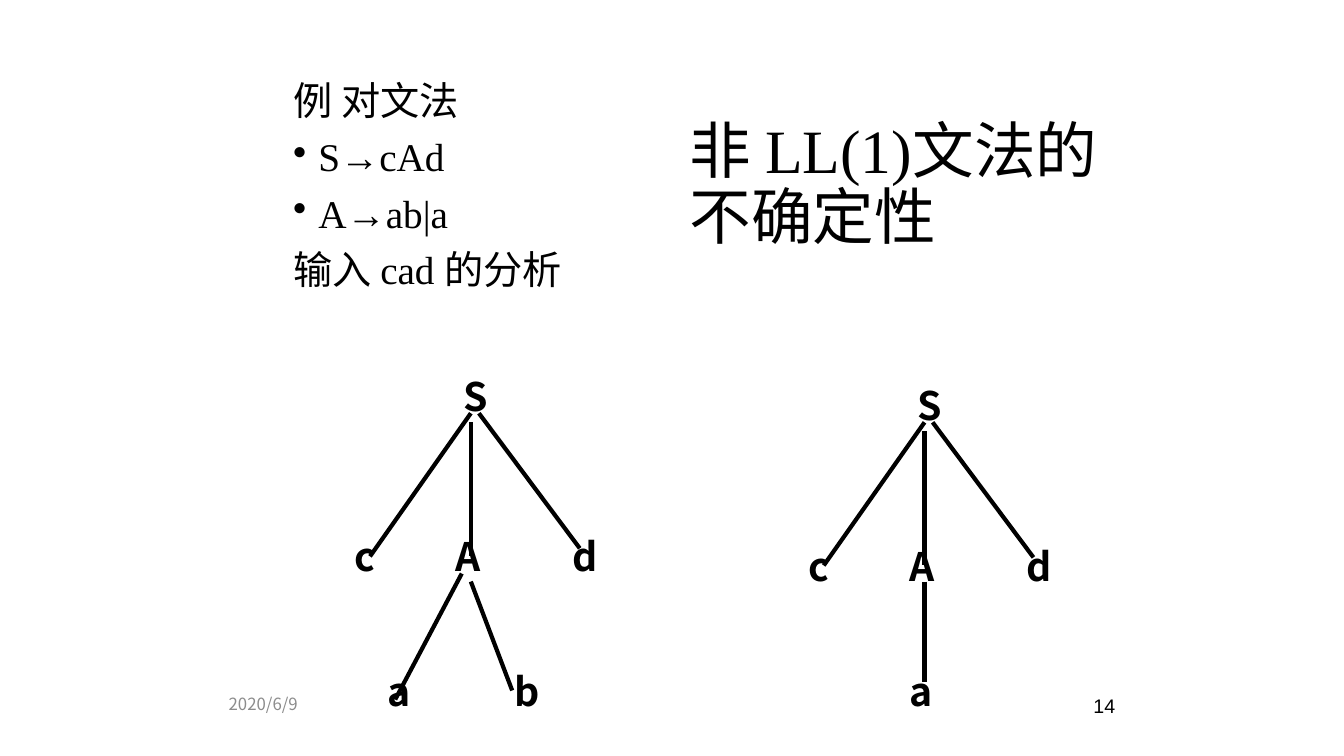
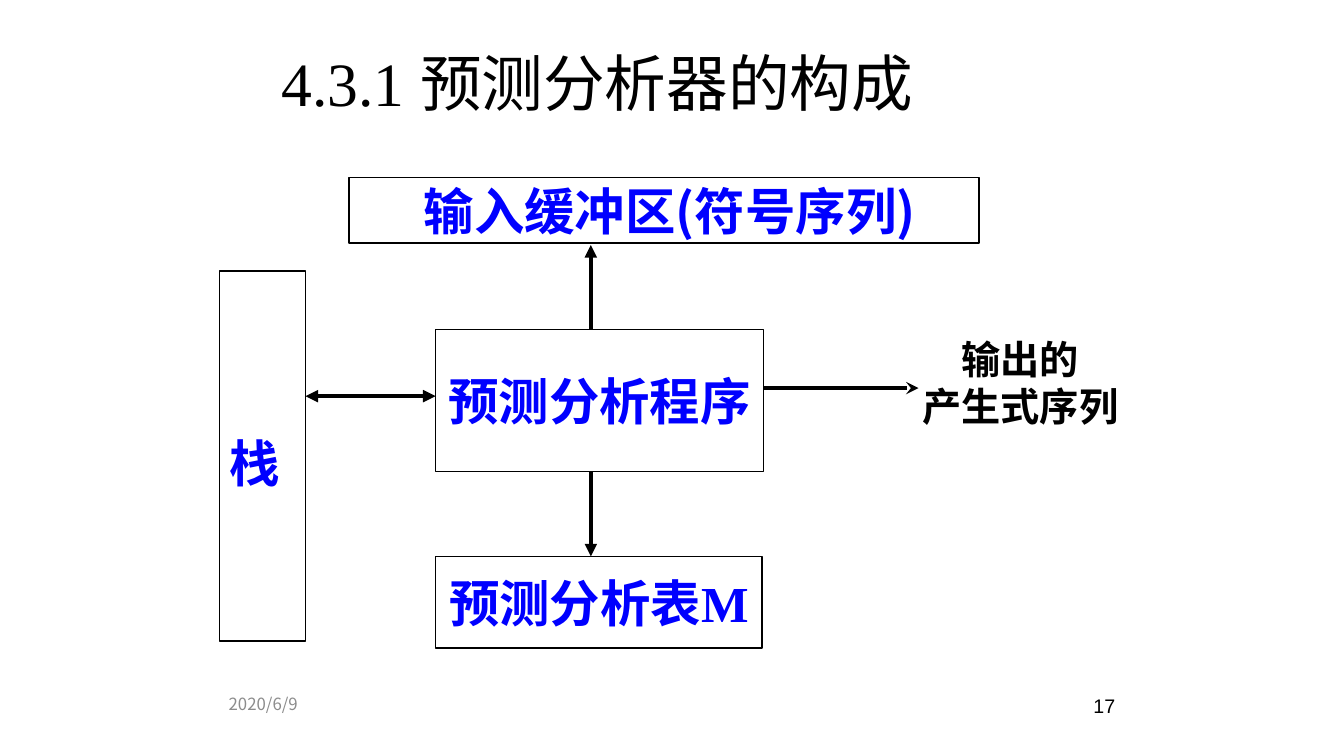
import dataclasses

import lxml.etree
import pptx
import pptx.dml.color
import pptx.enum.shapes
import pptx.enum.text
import pptx.oxml.ns
import pptx.util

Inches = pptx.util.Inches
Pt = pptx.util.Pt
RGB = pptx.dml.color.RGBColor
Align = pptx.enum.text.PP_ALIGN
Anchor = pptx.enum.text.MSO_ANCHOR


@dataclasses.dataclass(frozen=True)
class Theme:
    ink: RGB = RGB(0x00, 0x00, 0x00)
    blue: RGB = RGB(0x00, 0x00, 0xFF)
    grey: RGB = RGB(0x8C, 0x8C, 0x8C)
    paper: RGB = RGB(0xFF, 0xFF, 0xFF)
    serif: str = "Times New Roman"
    sans: str = "Noto Sans CJK SC"
    plain: str = "Arial"
    title_size: int = 44
    box_size: int = 36
    text_size: int = 28
    number_size: int = 14
    date_size: int = 12
    frame_width: int = 1
    stroke_width: int = 3


class Deck:
    def __init__(self, theme):
        self.theme = theme
        self.show = pptx.Presentation()
        self.show.slide_width = Inches(13.33)
        self.show.slide_height = Inches(7.5)
        self.slide = None

    def add_slide(self, title, place, number):
        t = self.theme
        self.slide = self.show.slides.add_slide(self.show.slide_layouts[5])
        self.slide.background.fill.solid()
        self.slide.background.fill.fore_color.rgb = t.paper
        heading = self.slide.shapes.title
        heading.left, heading.top, heading.width, heading.height = map(Inches, place)
        frame = heading.text_frame
        frame.word_wrap = True
        frame.auto_size = pptx.enum.text.MSO_AUTO_SIZE.NONE
        frame.vertical_anchor = Anchor.MIDDLE
        self.add_words(frame.paragraphs[0], title, t.title_size, t.serif, t.ink,
                       spacing=0.9)
        self.text((2.17, 6.83, 2.33, 0.52), ["2020/6/9"], t.date_size, t.sans, t.grey)
        self.text((8.83, 6.83, 2.33, 0.52), [number], t.number_size, t.plain, t.ink,
                  align=Align.RIGHT)

    def add_words(self, paragraph, words, size, font, color, bold=False,
                  align=Align.LEFT, spacing=None):
        paragraph.alignment = align
        if spacing:
            paragraph.line_spacing = spacing
        run = paragraph.add_run()
        run.text = words
        run.font.size = Pt(size)
        run.font.name = font
        run.font.bold = bold
        run.font.color.rgb = color
        east_asian = lxml.etree.SubElement(run.font._element, pptx.oxml.ns.qn("a:ea"))
        east_asian.set("typeface", self.theme.sans)

    def text(self, place, lines, size, font, color, **style):
        frame = self.slide.shapes.add_textbox(*map(Inches, place)).text_frame
        frame.word_wrap = True
        for index, words in enumerate(lines):
            paragraph = frame.add_paragraph() if index else frame.paragraphs[0]
            self.add_words(paragraph, words, size, font, color, **style)
        return frame

    def grammar(self, place, lines, bulleted):
        t = self.theme
        frame = self.text(place, lines, t.text_size, t.serif, t.ink, spacing=0.9)
        for words, paragraph in zip(lines, frame.paragraphs):
            paragraph.space_before = Pt(10)
            if words in bulleted:
                properties = paragraph._p.get_or_add_pPr()
                properties.set("marL", str(Inches(0.25)))
                properties.set("indent", str(-Inches(0.25)))
                bullet = lxml.etree.SubElement(properties, pptx.oxml.ns.qn("a:buChar"))
                bullet.set("char", "•")

    def box(self, place, runs, align=Align.CENTER, spacing=None):
        t = self.theme
        shape = self.slide.shapes.add_shape(
            pptx.enum.shapes.MSO_SHAPE.RECTANGLE, *map(Inches, place))
        shape.shadow.inherit = False
        shape.fill.background()
        shape.line.color.rgb = t.ink
        shape.line.width = Pt(t.frame_width)
        frame = shape.text_frame
        frame.word_wrap = False
        frame.vertical_anchor = Anchor.MIDDLE
        for words, font in runs:
            self.add_words(frame.paragraphs[0], words, t.box_size, font, t.blue,
                           bold=True, align=align, spacing=spacing)

    def line(self, start, end, head=None, tail=None):
        connector = self.slide.shapes.add_connector(
            pptx.enum.shapes.MSO_CONNECTOR.STRAIGHT, *map(Inches, start + end))
        connector.line.color.rgb = self.theme.ink
        connector.line.width = Pt(self.theme.stroke_width)
        outline = connector.line._get_or_add_ln()
        for tag, kind in (("a:headEnd", head), ("a:tailEnd", tail)):
            if kind:
                lxml.etree.SubElement(outline, pptx.oxml.ns.qn(tag)).set("type", kind)
        lxml.etree.SubElement(connector._element.spPr, pptx.oxml.ns.qn("a:effectLst"))

    def tree(self, x, y, leaves, branches):
        t = self.theme
        nodes = [("S", 0, 0), ("c", -1.08, 1.59), ("A", -0.08, 1.59), ("d", 1.08, 1.59)]
        edges = [(0.17, 0.5, -0.83, 1.92), (0.17, 0.59, 0.17, 1.92),
                 (0.25, 0.5, 1.25, 1.84)]
        for symbol, dx, dy in nodes + leaves:
            self.text((x + dx, y + dy, 0.83, 0.56), [symbol], t.text_size, t.sans,
                      t.ink, bold=True, spacing=1.1)
        for x1, y1, x2, y2 in edges + branches:
            self.line((x + x1, y + y1), (x + x2, y + y2))


def ambiguity_slide(deck):
    deck.add_slide("非 LL(1)文法的不确定性", (6.74, 1.1, 4.26, 1.5), "14")
    rules = ["S→cAd", "A→ab|a"]
    deck.grammar((2.81, 0.76, 3.83, 2.58),
                 ["例 对文法", *rules, "输入 cad 的分析"], rules)
    deck.tree(4.5, 3.6, [("b", 0.5, 2.92), ("a", -0.75, 2.92)],
              [(0.17, 2.17, 0.58, 3.25), (0.08, 2.09, -0.58, 3.34)])
    deck.tree(9, 3.69, [("a", -0.08, 2.83)], [(0.17, 2.08, 0.17, 3.08)])


def parser_slide(deck):
    t = deck.theme
    deck.add_slide("4.3.1 预测分析器的构成", (2.69, 0.33, 7.34, 1.06), "17")
    deck.box((3.46, 1.76, 6.25, 0.65), [(" 输入缓冲区(符号序列)", t.sans)])
    deck.box((2.18, 2.69, 0.85, 3.67), [("栈", t.sans)], align=Align.LEFT, spacing=1.2)
    deck.box((4.32, 3.27, 3.25, 1.41), [("预测分析程序", t.serif)])
    deck.box((4.32, 5.52, 3.24, 0.91), [("预测分析表", t.sans), ("M", t.serif)])
    deck.line((5.86, 3.26), (5.86, 2.43), tail="triangle")
    deck.line((4.32, 3.93), (3.03, 3.93), head="triangle", tail="triangle")
    deck.line((5.86, 4.68), (5.86, 5.52), tail="triangle")
    deck.line((7.57, 3.85), (9.11, 3.85), tail="stealth")
    deck.text((8.91, 3.28, 2.42, 1.04), ["输出的", "产生式序列"], t.text_size, t.sans,
              t.ink, bold=True, align=Align.CENTER)


def main():
    deck = Deck(Theme())
    ambiguity_slide(deck)
    parser_slide(deck)
    deck.show.save("out.pptx")


if __name__ == "__main__":
    main()
